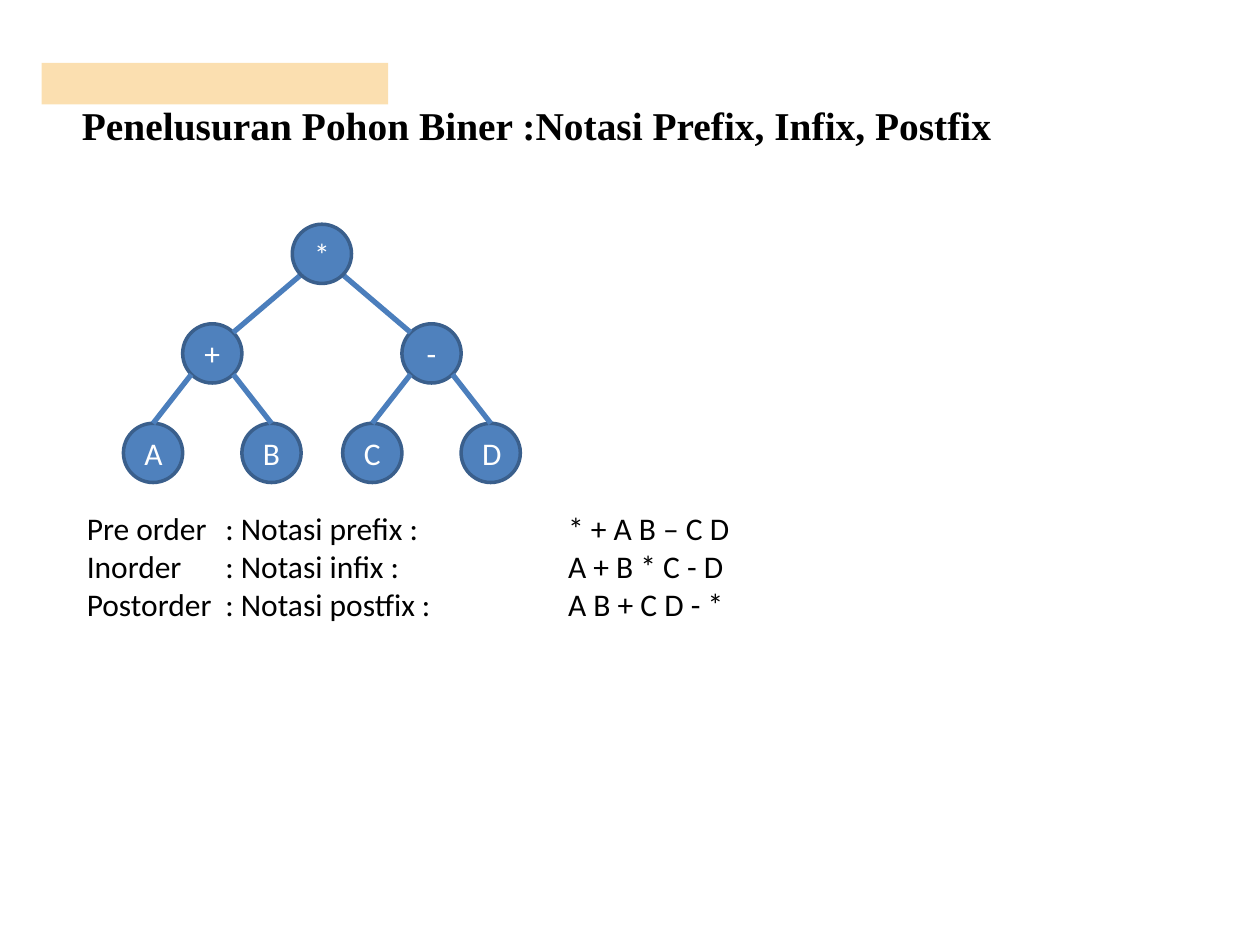
from dataclasses import dataclass
from lxml import etree
from pptx import Presentation
from pptx import util as u
from pptx.dml.color import RGBColor
from pptx.enum import shapes, text
from pptx.oxml import ns


@dataclass(frozen=True)
class Theme:
    """Hold the colours, fonts and type sizes."""
    band: str = "F9C163"
    node: str = "4F81BD"
    rim: str = "3A5F8C"
    edge: str = "4B7EBC"
    ink: str = "000000"
    light: str = "FFFFFF"
    head: str = "Times New Roman"
    body: str = "Calibri"
    big: float = 22.5
    size: float = 18


T = Theme()
TITLE = "Penelusuran Pohon Biner :Notasi Prefix, Infix, Postfix"
ROWS = [
    ("Pre order", ": Notasi prefix :", "* + A B – C D"),
    ("Inorder", ": Notasi infix :", "A + B * C - D"),
    ("Postorder", ": Notasi postfix :", "A B + C D - *"),
]
TREE = ("*", [("+", ["A", "B"]), ("-", ["C", "D"])])


def rgb(code):
    """Turn a hex code into a colour."""
    return RGBColor.from_string(code)


def inch(*nums):
    """Turn numbers into lengths."""
    return [u.Inches(n) for n in nums]


def write(para, words, face, size, color, bold=False):
    """Add one styled run to a paragraph."""
    run = para.add_run()
    run.text = words
    font = run.font
    font.name, font.size, font.bold = face, u.Pt(size), bold
    font.color.rgb = rgb(color)


def add_head(slide, box):
    """Place the title in its box."""
    title = slide.shapes.title
    title.left, title.top, title.width, title.height = inch(*box)
    frame = title.text_frame
    frame.margin_left = frame.margin_right = 0
    frame.margin_top = frame.margin_bottom = 0
    frame.vertical_anchor = text.MSO_ANCHOR.TOP
    frame.word_wrap = True
    frame.auto_size = text.MSO_AUTO_SIZE.NONE
    para = frame.paragraphs[0]
    para.alignment = text.PP_ALIGN.LEFT
    write(para, TITLE, T.head, T.big, T.ink, True)


def add_band(slide, box):
    """Place the half-clear band behind the title."""
    band = slide.shapes.add_shape(shapes.MSO_SHAPE.RECTANGLE, *inch(*box))
    band.shadow.inherit = False
    band.fill.solid()
    band.fill.fore_color.rgb = rgb(T.band)
    band.line.fill.background()
    tint = band._element.spPr.find(".//" + ns.qn("a:srgbClr"))
    etree.SubElement(tint, ns.qn("a:alpha")).set("val", "50000")
    slide.shapes.title._element.addprevious(band._element)


def add_node(group, label, x, y, dia):
    """Draw a tree node centred on a point."""
    node = group.shapes.add_shape(
        shapes.MSO_SHAPE.OVAL, *inch(x - dia / 2, y - dia / 2, dia, dia))
    node.shadow.inherit = False
    node.fill.solid()
    node.fill.fore_color.rgb = rgb(T.node)
    node.line.color.rgb = rgb(T.rim)
    node.line.width = u.Pt(2)
    frame = node.text_frame
    frame.vertical_anchor = text.MSO_ANCHOR.MIDDLE
    para = frame.paragraphs[0]
    para.alignment = text.PP_ALIGN.CENTER
    write(para, label, T.body, T.size, T.light)
    return node


def add_edge(group, start, end):
    """Draw an edge between two points."""
    edge = group.shapes.add_connector(
        shapes.MSO_CONNECTOR.STRAIGHT, *inch(*start, *end))
    edge.line.color.rgb = rgb(T.edge)
    edge.line.width = u.Pt(3)
    etree.SubElement(edge._element.spPr, ns.qn("a:effectLst"))
    return edge


def add_tree(slide, box):
    """Draw the expression tree inside its box."""
    left, top, width, height = box
    group = slide.shapes.add_group_shape()
    dia = 0.47
    diag = dia / 2 * 0.71
    step = (height - dia) / 2
    mid, y = left + width / 2, top + dia / 2
    leaf = 0.47
    wing = (width - dia) / 2 - leaf
    root, kids = TREE
    for side, (sign, names) in zip((-1, 1), kids):
        x, low = mid + side * wing, y + step
        add_node(group, sign, x, low, dia)
        for way, name in zip((-1, 1), names):
            end = x + way * leaf
            node = add_node(group, name, end, low + step, dia)
            edge = add_edge(group, (end, low + step - dia / 2),
                            (x + way * diag, low + diag))
            edge.begin_connect(node, 0)
        add_edge(group, (x - side * diag, low - diag),
                 (mid + side * diag, y + diag))
    add_node(group, root, mid, y, dia)


def add_list(slide, box):
    """Write the traversal rows in tabbed columns."""
    frame = slide.shapes.add_textbox(*inch(*box)).text_frame
    frame.word_wrap = True
    for i, row in enumerate(ROWS):
        para = frame.add_paragraph() if i else frame.paragraphs[0]
        tabs = etree.SubElement(para._p.get_or_add_pPr(), ns.qn("a:tabLst"))
        for stop in inch(1.1, 3.82):
            etree.SubElement(tabs, ns.qn("a:tab"), pos=str(stop), algn="l")
        write(para, "\t".join(row), T.body, T.size, T.ink)


def main():
    """Build and save the slide."""
    deck = Presentation()
    deck.slide_width, deck.slide_height = inch(10, 7.5)
    slide = deck.slides.add_slide(deck.slide_layouts[5])
    add_head(slide, (0.65, 0.8, 8.18, 0.76))
    add_band(slide, (0.33, 0.5, 2.75, 0.33))
    add_list(slide, (0.59, 3.99, 8.91, 2.71))
    add_tree(slide, (0.98, 1.78, 3.15, 2.05))
    deck.save("out.pptx")


if __name__ == "__main__":
    main()
